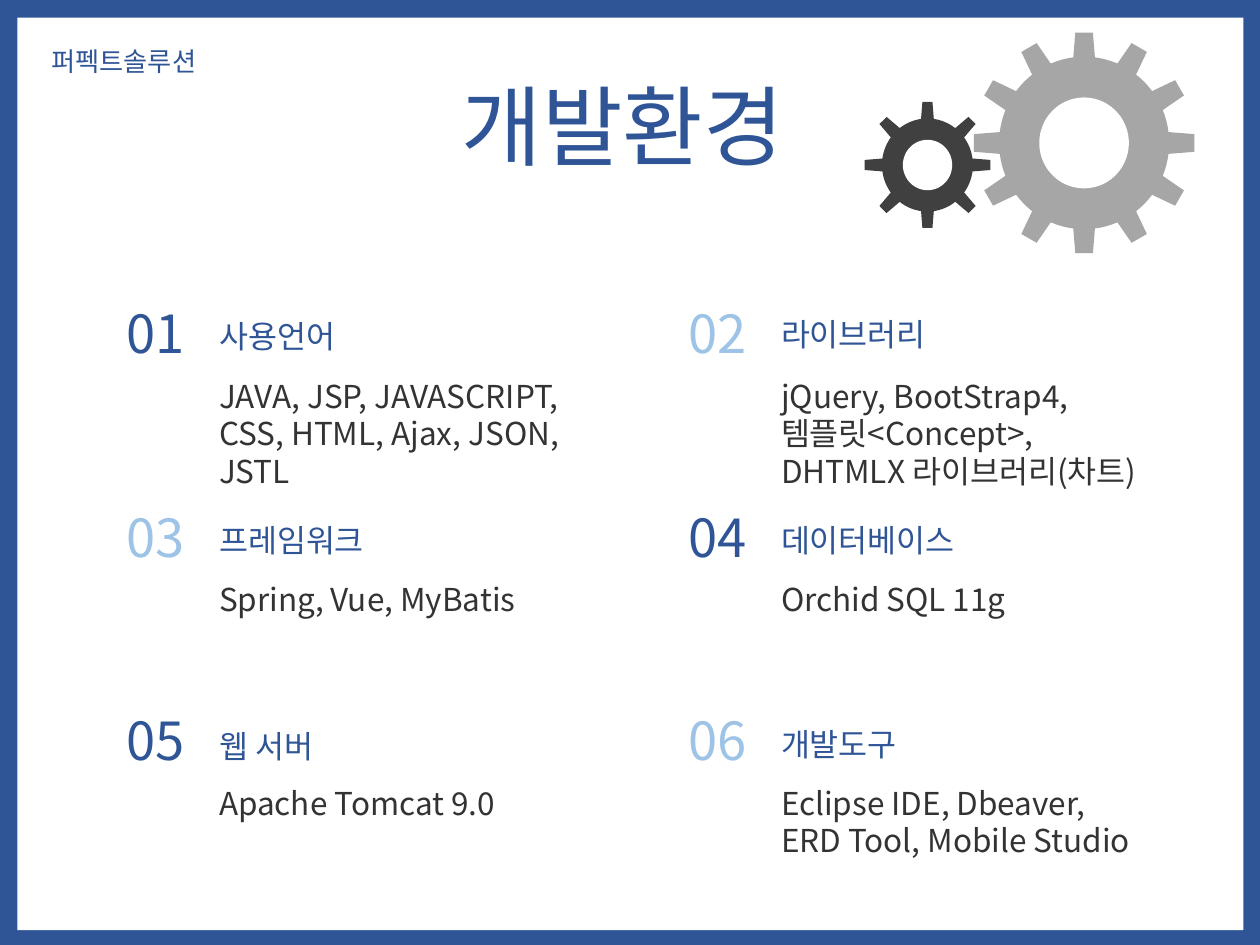
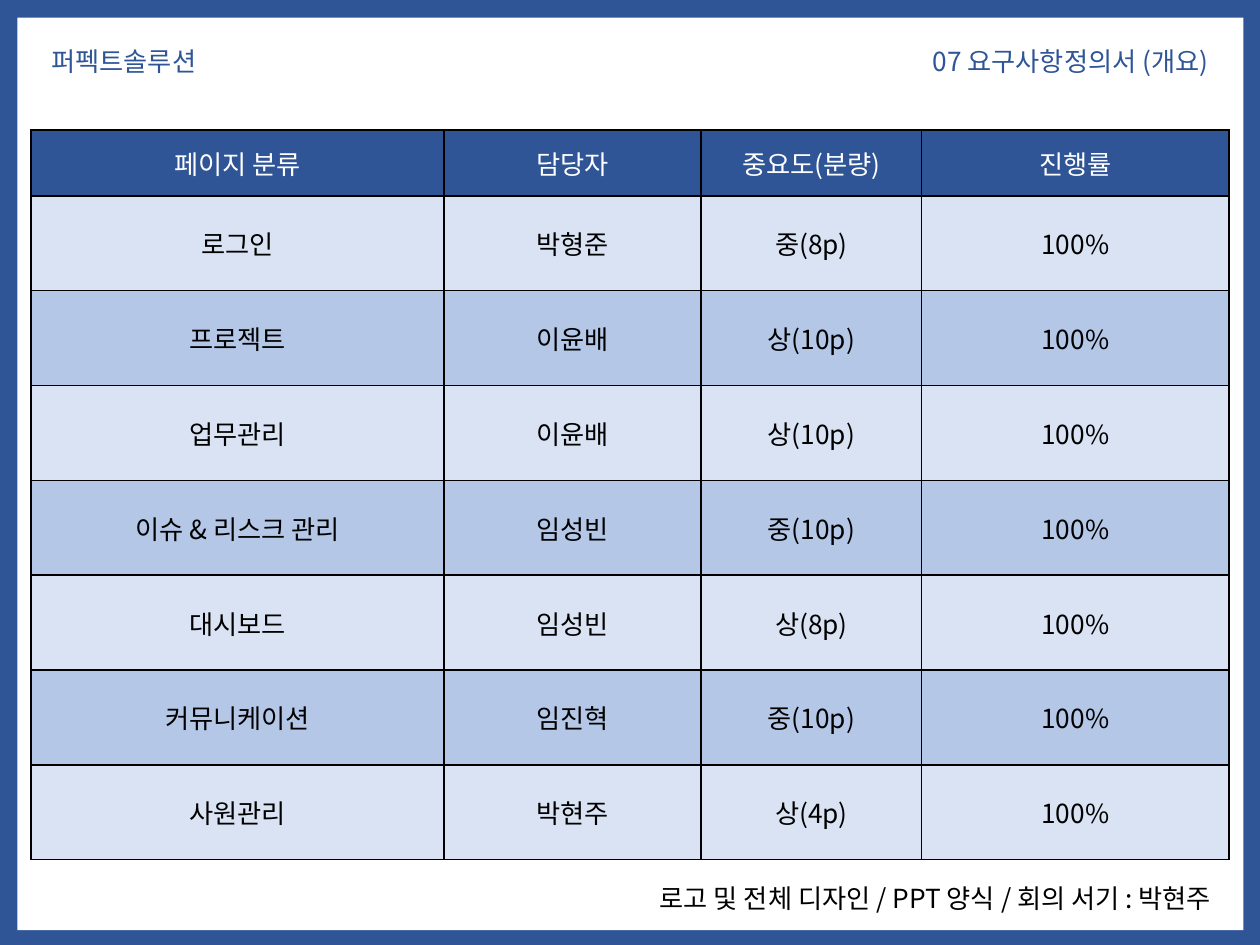
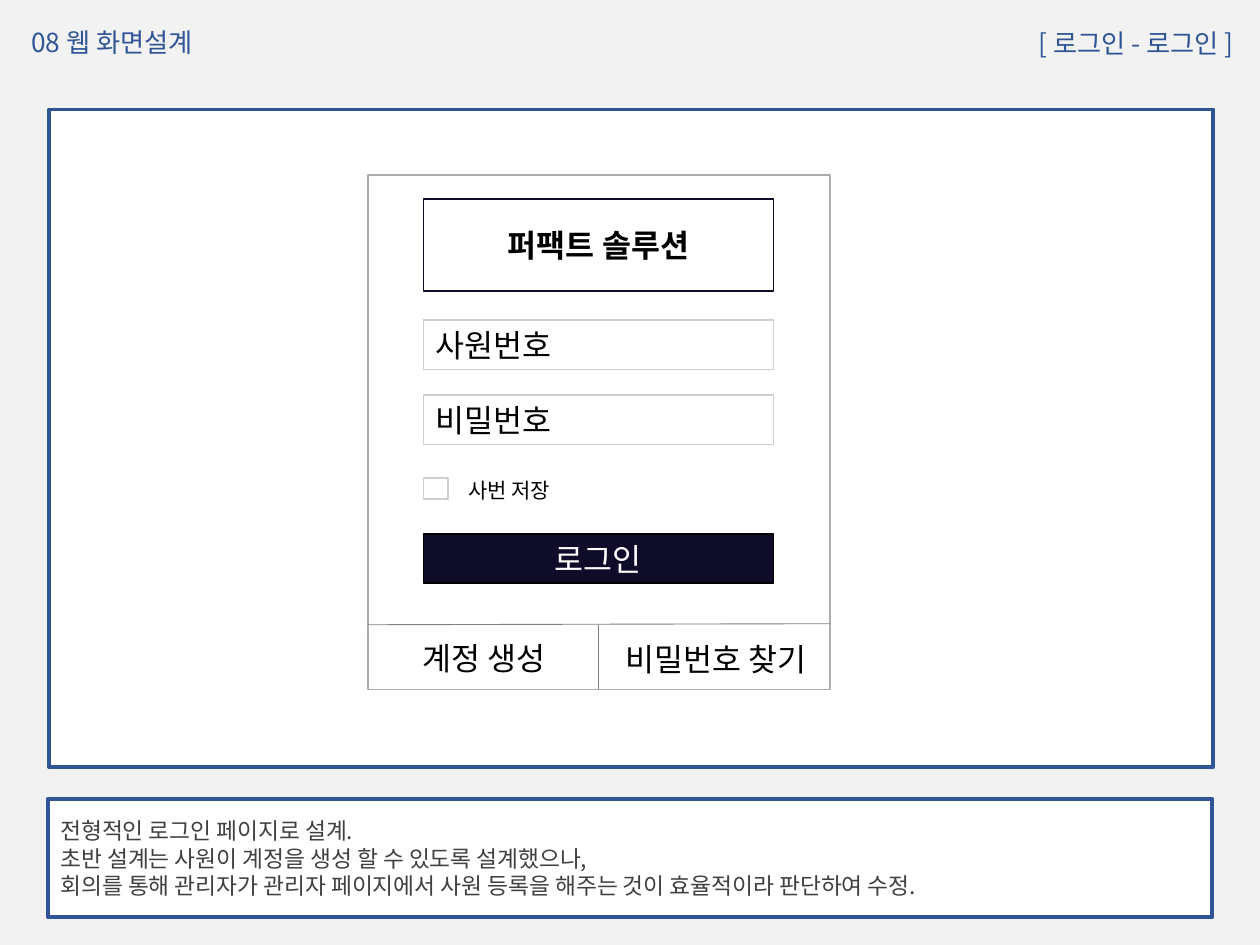
from dataclasses import dataclass

from lxml import etree
from pptx import Presentation
from pptx import util as u
from pptx.dml.color import RGBColor
from pptx.enum import shapes, text
from pptx.oxml import ns

Pt = u.Pt
NOTO = "Noto Sans CJK KR"
CALIBRI = "Calibri"
BLUE = "2F5597"
LIGHT_BLUE = "9DC3E6"
WHITE = "FFFFFF"
BLACK = "000000"
NAVY = "0E0C28"
FIELD_GRAY = "D0CECE"
BODY_GRAY = "333333"
ROW_FILLS = ("DAE3F3", "B4C7E7")
LEFT, CENTER, RIGHT = text.PP_ALIGN.LEFT, text.PP_ALIGN.CENTER, text.PP_ALIGN.RIGHT
RECTANGLE = shapes.MSO_SHAPE.RECTANGLE
OVAL = shapes.MSO_SHAPE.OVAL
HEXAGON = shapes.MSO_SHAPE.HEXAGON


@dataclass
class Box:
    left: float
    top: float
    width: float
    height: float

    def points(self) -> tuple:
        return Pt(self.left), Pt(self.top), Pt(self.width), Pt(self.height)


@dataclass
class Style:
    size: float
    color: str = BLUE
    align: int = LEFT
    font: str = NOTO
    bold: bool = False


@dataclass
class Gear:
    x: float
    y: float
    tooth: tuple
    wheel: tuple
    hole: tuple
    tooth_count: int
    color: str


@dataclass
class Topic:
    heading: str
    lines: list
    number_color: str
    heading_drop: float = 9.4


@dataclass
class Panel:
    box: Box
    fill: str
    line: str
    line_width: float = 1
    lines: tuple = ()
    style: Style | None = None


HEADER = Style(15)
HEADER_RIGHT = Style(15, align=RIGHT)
FORM = Style(18, BLACK, font=CALIBRI)
FORM_CENTER = Style(18, BLACK, CENTER, CALIBRI)

GEARS = [
    Gear(619.5, 81.7, (20.2, 126), (97.2, 98.6), (51.2, 52), 6, "A6A6A6"),
    Gear(530, 94.3, (11.5, 72), (52, 53.2), (28.2, 28.8), 4, "404040"),
]

TOPICS = [
    Topic("사용언어", ["JAVA, JSP, JAVASCRIPT,", "CSS, HTML, Ajax, JSON,", "JSTL"], BLUE),
    Topic("라이브러리", ["jQuery, BootStrap4,", "템플릿<Concept>,", "DHTMLX 라이브러리(차트)"], LIGHT_BLUE, 7.9),
    Topic("프레임워크", ["Spring, Vue, MyBatis"], LIGHT_BLUE),
    Topic("데이터베이스", ["Orchid SQL 11g"], BLUE),
    Topic("웹 서버", ["Apache Tomcat 9.0"], BLUE, 10.8),
    Topic("개발도구", ["Eclipse IDE, Dbeaver,", "ERD Tool, Mobile Studio"], LIGHT_BLUE),
]

PAGES = [
    ("페이지 분류", "담당자", "중요도(분량)", "진행률"),
    ("로그인", "박형준", "중(8p)", "100%"),
    ("프로젝트", "이윤배", "상(10p)", "100%"),
    ("업무관리", "이윤배", "상(10p)", "100%"),
    ("이슈 & 리스크 관리", "임성빈", "중(10p)", "100%"),
    ("대시보드", "임성빈", "상(8p)", "100%"),
    ("커뮤니케이션", "임진혁", "중(10p)", "100%"),
    ("사원관리", "박현주", "상(4p)", "100%"),
]

DESIGN_NOTES = (
    "전형적인 로그인 페이지로 설계.",
    "초반 설계는 사원이 계정을 생성 할 수 있도록 설계했으나,",
    "회의를 통해 관리자가 관리자 페이지에서 사원 등록을 해주는 것이 효율적이라 판단하여 수정.",
)

LOGIN_PANELS = [
    Panel(Box(28.1, 62.6, 665.3, 375.8), WHITE, BLUE, 2.25),
    Panel(Box(27.4, 456.5, 665.3, 67.7), WHITE, BLUE, 2.25, DESIGN_NOTES, Style(13, "404040")),
    Panel(Box(210.2, 100, 264.2, 294), WHITE, "AFABAB"),
    Panel(Box(242, 305, 200, 28.2), NAVY, BLACK, 1, ("로그인",), Style(18, WHITE, CENTER, CALIBRI)),
    Panel(Box(242, 225.8, 200, 28.2), WHITE, FIELD_GRAY, 1, ("비밀번호",), FORM),
    Panel(Box(242, 183, 200, 28.2), WHITE, FIELD_GRAY, 1, ("사원번호",), FORM),
    Panel(Box(242, 273.2, 14, 12.2), WHITE, FIELD_GRAY),
    Panel(Box(242, 113.7, 200, 52.4), WHITE, NAVY, 1, ("퍼팩트 솔루션",),
          Style(18, BLACK, CENTER, CALIBRI, True)),
]


def rgb(color: str) -> RGBColor:
    return RGBColor.from_string(color)


def write(frame, lines, style: Style) -> None:
    for index, line in enumerate(lines):
        paragraph = frame.paragraphs[0] if index == 0 else frame.add_paragraph()
        paragraph.text = line
        paragraph.alignment = style.align
        font = paragraph.font
        font.size = Pt(style.size)
        font.name = style.font
        font.bold = style.bold
        font.color.rgb = rgb(style.color)
        properties = paragraph._p.pPr.find(ns.qn("a:defRPr"))
        etree.SubElement(properties, ns.qn("a:ea"), typeface=NOTO)


def add_text(slide, box: Box, lines, style: Style, margin: float | None = None) -> None:
    frame = slide.shapes.add_textbox(*box.points()).text_frame
    frame.word_wrap = True
    frame.auto_size = text.MSO_AUTO_SIZE.SHAPE_TO_FIT_TEXT
    if margin is not None:
        frame.margin_left = frame.margin_right = Pt(margin)
        frame.margin_top = frame.margin_bottom = Pt(margin)
    write(frame, lines, style)


def add_filled(slide, kind, box: Box, fill: str):
    shape = slide.shapes.add_shape(kind, *box.points())
    shape.shadow.inherit = False
    shape.fill.solid()
    shape.fill.fore_color.rgb = rgb(fill)
    shape.line.fill.background()
    return shape


def add_panel(slide, panel: Panel) -> None:
    shape = add_filled(slide, RECTANGLE, panel.box, panel.fill)
    shape.line.color.rgb = rgb(panel.line)
    shape.line.width = Pt(panel.line_width)
    if panel.style:
        shape.text_frame.word_wrap = True
        shape.text_frame.vertical_anchor = text.MSO_ANCHOR.MIDDLE
        write(shape.text_frame, panel.lines, panel.style)


def add_line(slide, start: tuple, end: tuple) -> None:
    points = [Pt(value) for value in start + end]
    connector = slide.shapes.add_connector(shapes.MSO_CONNECTOR.STRAIGHT, *points)
    connector.line.color.rgb = rgb("808080")
    connector.line.width = Pt(0.5)
    etree.SubElement(connector._element.spPr, ns.qn("a:effectLst"))


def add_gear(slide, gear: Gear) -> None:
    def add_centered(kind, size: tuple, fill: str):
        width, height = size
        box = Box(gear.x - width / 2, gear.y - height / 2, width, height)
        return add_filled(slide, kind, box, fill)

    for index in range(gear.tooth_count):
        tooth = add_centered(HEXAGON, gear.tooth, gear.color)
        tooth.rotation = index * 180 / gear.tooth_count
    add_centered(OVAL, gear.wheel, gear.color)
    add_centered(OVAL, gear.hole, WHITE)


def add_slide(presentation):
    return presentation.slides.add_slide(presentation.slide_layouts[6])


def add_framed_slide(presentation):
    slide = add_slide(presentation)
    add_filled(slide, RECTANGLE, Box(0, 0, 720, 540), BLUE)
    add_filled(slide, RECTANGLE, Box(10, 10, 700.5, 521.5), WHITE)
    add_text(slide, Box(22.3, 22.3, 211.7, 25.2), ["퍼펙트솔루션"], HEADER)
    return slide


def add_cell_border(cell) -> None:
    properties = cell._tc.get_or_add_tcPr()
    for index, side in enumerate(("lnL", "lnR", "lnT", "lnB")):
        line = etree.Element(ns.qn(f"a:{side}"), w=str(Pt(1)))
        fill = etree.SubElement(line, ns.qn("a:solidFill"))
        etree.SubElement(fill, ns.qn("a:srgbClr"), val=BLACK)
        properties.insert(index, line)


def build_environment(presentation) -> None:
    slide = add_framed_slide(presentation)
    add_text(slide, Box(222.5, 33.8, 267.1, 74.9), ["개발환경"], Style(50, align=CENTER), 7.2)
    for gear in GEARS:
        add_gear(slide, gear)
    for index, topic in enumerate(TOPICS):
        row, column = divmod(index, 2)
        left = 59.8 + column * 321.1
        top = 168.5 + row * 116.3
        text_left = left + 58.3
        add_text(slide, Box(left, top, 58.3, 43.9), [f"{index + 1:02}"],
                 Style(30, topic.number_color, CENTER))
        add_text(slide, Box(text_left, top + topic.heading_drop, 200.2, 28.8), [topic.heading], Style(18))
        add_text(slide, Box(text_left, top + 43.2, 246.2, 6.8 + 22 * len(topic.lines)),
                 topic.lines, Style(18, BODY_GRAY))


def build_requirements(presentation) -> None:
    slide = add_framed_slide(presentation)
    add_text(slide, Box(486, 22.3, 211.7, 25.2), ["07 요구사항정의서 (개요)"], HEADER_RIGHT)
    box = Box(17.6, 74.2, 684.7, 417.3)
    table = slide.shapes.add_table(len(PAGES), len(PAGES[0]), *box.points()).table
    for column, width in zip(table.columns, (236.2, 146.9, 126, 175.6)):
        column.width = Pt(width)
    for index, values in enumerate(PAGES):
        table.rows[index].height = Pt(54.2 if index else 37.7)
        fill = ROW_FILLS[(index - 1) % 2] if index else BLUE
        style = Style(15, BLACK if index else WHITE, CENTER)
        for cell, value in zip(table.rows[index].cells, values):
            cell.fill.solid()
            cell.fill.fore_color.rgb = rgb(fill)
            cell.vertical_anchor = text.MSO_ANCHOR.MIDDLE
            write(cell.text_frame, [value], style)
            add_cell_border(cell)
    add_text(slide, Box(272.2, 500.4, 427, 25.2),
             ["로고 및 전체 디자인 / PPT 양식 / 회의 서기 : 박현주"], Style(15, BLACK, RIGHT))


def build_login(presentation) -> None:
    slide = add_slide(presentation)
    add_filled(slide, RECTANGLE, Box(0, 0, 720, 540), "F2F2F2")
    add_text(slide, Box(10.8, 11.5, 211.7, 25.2), ["08 웹 화면설계"], HEADER)
    add_text(slide, Box(424, 12.2, 288, 25.2), ["[ 로그인 - 로그인 ]"], HEADER_RIGHT)
    for panel in LOGIN_PANELS:
        add_panel(slide, panel)
    add_text(slide, Box(260.6, 269.3, 136.8, 21.6), ["사번 저장"], Style(12, BLACK, font=CALIBRI))
    add_line(slide, (210.2, 357), (474.4, 356.4))
    add_line(slide, (342, 394), (342, 357))
    add_text(slide, Box(223.9, 361.4, 105.1, 28.8), ["계정 생성"], FORM_CENTER)
    add_text(slide, Box(340.6, 362.2, 137.5, 28.8), ["비밀번호 찾기"], FORM_CENTER)


def main() -> None:
    presentation = Presentation()
    presentation.slide_width = Pt(720)
    presentation.slide_height = Pt(540)
    build_environment(presentation)
    build_requirements(presentation)
    build_login(presentation)
    presentation.save("out.pptx")


if __name__ == "__main__":
    main()
